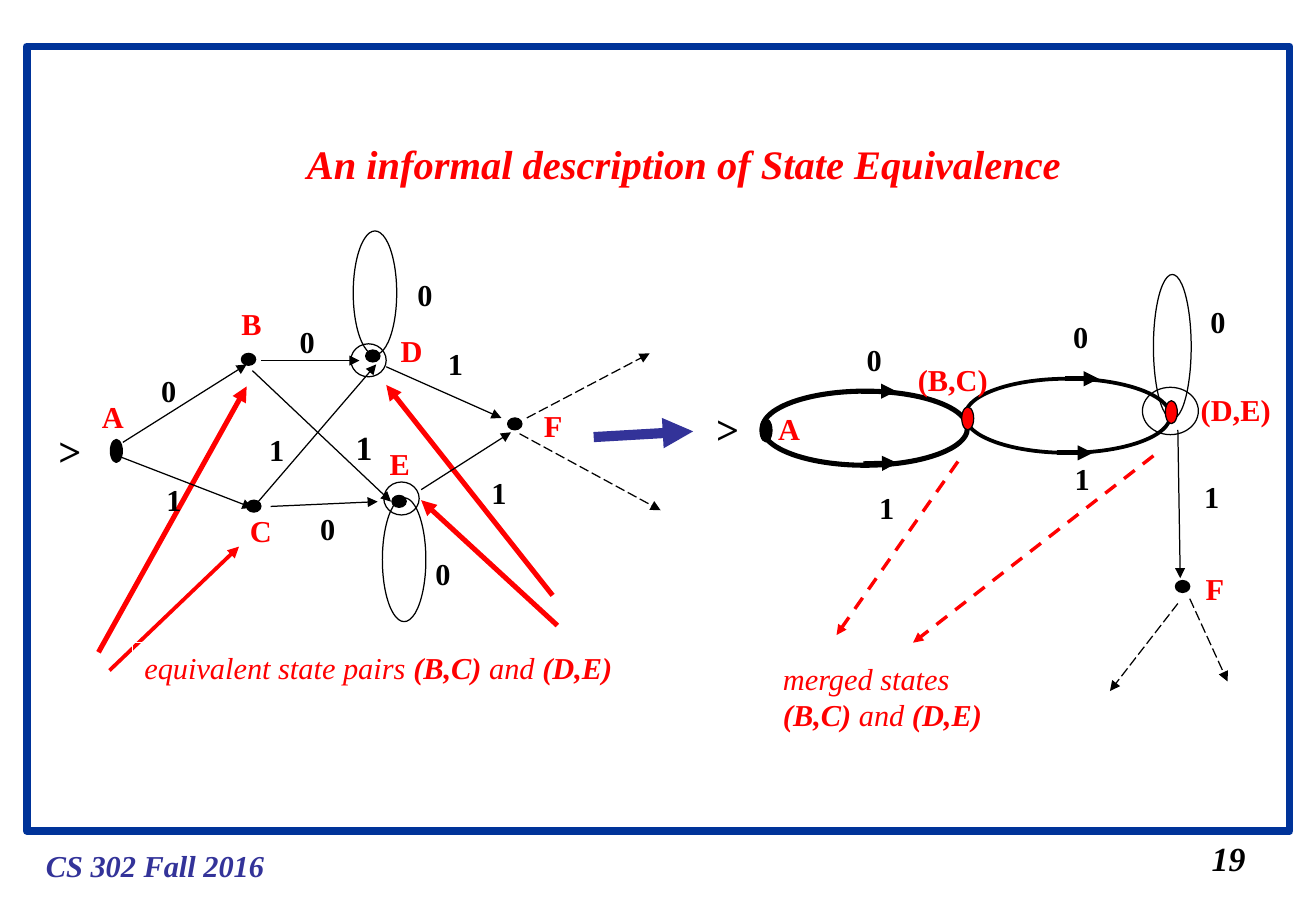
from lxml import etree
from pptx import Presentation
from pptx import util as u
from pptx.dml.color import RGBColor
from pptx.enum import dml, shapes, text
from pptx.oxml import ns

BLACK = RGBColor(0x00, 0x00, 0x00)
WHITE = RGBColor(0xFF, 0xFF, 0xFF)
RED = RGBColor(0xFF, 0x00, 0x00)
INDIGO = RGBColor(0x33, 0x33, 0x99)
FRAME_BLUE = RGBColor(0x00, 0x33, 0x99)

LONG_DASH = dml.MSO_LINE.LONG_DASH
DASH = dml.MSO_LINE.DASH
OVAL = shapes.MSO_SHAPE.OVAL
RECT = shapes.MSO_SHAPE.RECTANGLE

BOLD = {"bold": True, "italic": False}
ITALIC = {"bold": False, "italic": True}
BOLD_ITALIC = {"bold": True, "italic": True}

DOT = (0.3, 0.25)
STATE = (0.25, 0.48)
RING = (0.74, 0.69)
LOOP = (0.91, 2.59)
LENS = (4.29, 1.55)


def add_outline(parent, kind, at, size, color=BLACK, width=0.75, fill=None):
    sp = parent.add_shape(kind, *map(u.Cm, at + size))
    sp.shadow.inherit = False
    if fill is None:
        sp.fill.background()
    else:
        sp.fill.solid()
        sp.fill.fore_color.rgb = fill
    sp.line.color.rgb = color
    sp.line.width = u.Pt(width)
    return sp


def add_arrow(parent, ends, color=BLACK, width=0.75, dash=None):
    cx = parent.add_connector(shapes.MSO_CONNECTOR.STRAIGHT, *map(u.Cm, ends))
    cx.line.color.rgb = color
    cx.line.width = u.Pt(width)
    if dash is not None:
        cx.line.dash_style = dash
    spPr = cx.element.spPr
    etree.SubElement(spPr.find(ns.qn("a:ln")), ns.qn("a:tailEnd"), type="triangle")
    etree.SubElement(spPr, ns.qn("a:effectLst"))


def fill_text(sp, lines, size=18, color=RED, wrap=False):
    tf = sp.text_frame
    frame = {"word_wrap": wrap, "vertical_anchor": text.MSO_ANCHOR.TOP}
    for name, value in frame.items():
        setattr(tf, name, value)
    for i, runs in enumerate(lines):
        p = tf.add_paragraph() if i else tf.paragraphs[0]
        p.alignment = text.PP_ALIGN.LEFT
        for words, style in runs:
            r = p.add_run()
            r.text = words
            font = {"name": "Times New Roman", "size": u.Pt(size), **style}
            for name, value in font.items():
                setattr(r.font, name, value)
            r.font.color.rgb = color


def add_caption(parent, box, lines, size=18, color=RED):
    fill_text(parent.add_textbox(*map(u.Cm, box)), lines, size, color)


def add_label(parent, words, x, y, size=18):
    width = 2.0 if len(words) > 1 else 1.0 if words.isalpha() or size > 18 else 0.83
    height = {18: 1.02, 20: 1.12, 24: 1.27}[size]
    sp = parent.add_textbox(*map(u.Cm, (x, y, width, height)))
    color = RED if words[0] in "ABCDEF(" else BLACK
    fill_text(sp, [[(words, BOLD)]], size, color, wrap=True)


def add_ovals(parent, size, places, **style):
    for at in places:
        add_outline(parent, OVAL, at, size, **style)


def add_arrows(parent, arrows, **style):
    for ends in arrows:
        add_arrow(parent, ends, **style)


def add_labels(parent, labels):
    for label in labels:
        add_label(parent, *label)


def draw_equivalent_pairs(g):
    add_arrows(g, [(2.06, 13.64, 5.16, 8.08), (11.56, 12.45, 8.08, 8.05),
                   (11.66, 13.08, 8.81, 10.46)], color=RED, width=3)
    add_arrow(g, (2.29, 14.02, 5.0, 11.43), RED, 2.25)
    sp = add_outline(g, RECT, (2.77, 13.44), (10.44, 1.02), WHITE)
    fill_text(sp, [[("equivalent state pairs ", ITALIC), ("(B,C)", BOLD_ITALIC),
                    (" and ", ITALIC), ("(D,E)", BOLD_ITALIC)]])


def draw_full_automaton(g):
    add_ovals(g, STATE, [(2.31, 9.19)], fill=BLACK)
    add_ovals(g, DOT, [(5.05, 7.39), (5.16, 10.46), (7.65, 7.32),
                       (8.2, 10.36), (10.62, 8.74)], fill=BLACK)
    add_ovals(g, RING, [(7.34, 7.19), (8.03, 10.08)])
    add_ovals(g, LOOP, [(7.39, 4.83), (8.0, 10.41)])
    add_arrows(g, [(2.57, 9.25, 5.16, 7.62), (2.51, 9.55, 5.28, 10.62),
                   (5.28, 7.75, 8.18, 10.49), (5.36, 10.54, 7.87, 7.62),
                   (5.46, 7.54, 7.52, 7.54), (5.66, 10.59, 7.9, 10.49),
                   (8.08, 7.67, 10.49, 8.74), (8.81, 10.24, 10.69, 9.04)])
    add_arrows(g, [(11.02, 8.74, 13.59, 7.39), (10.87, 9.07, 13.82, 10.67)],
               dash=LONG_DASH)
    add_labels(g, [(">", 0.97, 8.79, 24), ("A", 1.88, 8.2), ("B", 4.8, 6.25),
                   ("C", 4.98, 10.59), ("D", 8.13, 6.83), ("E", 7.9, 9.19),
                   ("F", 11.13, 8.38), ("0", 3.12, 7.65), ("1", 3.23, 9.93),
                   ("0", 6.02, 6.63), ("1", 7.19, 8.79, 20), ("0", 6.45, 10.54),
                   ("1", 5.38, 8.89), ("0", 8.86, 11.48), ("0", 8.48, 5.64),
                   ("1", 9.12, 7.09), ("1", 10.03, 9.8)])


def draw_merged_automaton(g):
    add_ovals(g, LENS, [(15.95, 8.18)], width=3)
    add_ovals(g, STATE, [(15.9, 8.76)], fill=BLACK)
    add_ovals(g, (0.79, 3.02), [(24.13, 5.74)])
    add_ovals(g, LENS, [(20.19, 7.92)], width=2.25)
    add_ovals(g, STATE, [(20.12, 8.51), (24.38, 8.38)], fill=RED)
    add_ovals(g, (1.17, 0.99), [(23.9, 8.1)])
    add_ovals(g, DOT, [(24.59, 12.14)], fill=BLACK)
    add_arrows(g, [(18.01, 8.18, 18.75, 8.18), (18.06, 9.7, 18.77, 9.68),
                   (22.28, 7.92, 22.99, 7.92), (22.12, 9.47, 22.86, 9.47)], width=3)
    add_arrow(g, (24.64, 8.99, 24.69, 12.09))
    add_arrows(g, [(24.64, 12.62, 23.22, 14.45), (24.89, 12.52, 25.68, 14.25)],
               dash=LONG_DASH)
    add_labels(g, [(">", 14.73, 8.33, 24), ("A", 16.03, 8.46), ("(B,C)", 18.95, 7.42),
                   ("(D,E)", 24.87, 8.05), ("F", 24.97, 11.79), ("0", 17.88, 7.01),
                   ("1", 18.14, 10.11), ("0", 22.2, 6.53), ("1", 22.23, 9.5),
                   ("0", 25.07, 6.22), ("1", 24.94, 9.88)])


def draw_merged_states(g):
    add_arrows(g, [(20.04, 9.65, 17.5, 13.28), (24.13, 9.53, 19.1, 13.44)],
               color=RED, width=2, dash=DASH)
    add_caption(g, (16.13, 13.67, 4.83, 1.78),
                [[("merged states", ITALIC)],
                 [("(B,C) ", BOLD_ITALIC), ("and ", ITALIC), ("(D,E)", BOLD_ITALIC)]])


def main():
    prs = Presentation()
    prs.slide_width, prs.slide_height = u.Cm(27.53), u.Cm(19.05)
    s = prs.slides.add_slide(prs.slide_layouts[6])
    add_outline(s.shapes, RECT, (0.56, 0.97), (26.42, 16.41), FRAME_BLUE, 4.5)
    add_caption(s.shapes, (0.71, 17.6, 5.08, 1.02),
                [[("CS 302 Fall 2016", BOLD_ITALIC)]], color=INDIGO)
    add_caption(s.shapes, (6.17, 2.79, 16.6, 1.27),
                [[("An informal description of State Equivalence", BOLD_ITALIC)]], 24)
    add_arrow(s.shapes, (12.42, 9.14, 14.5, 9.02), INDIGO, 6, LONG_DASH)
    for draw in (draw_equivalent_pairs, draw_full_automaton,
                 draw_merged_automaton, draw_merged_states):
        draw(s.shapes.add_group_shape().shapes)
    add_caption(s.shapes, (25.1, 17.4, 1.22, 1.12), [[("19", BOLD_ITALIC)]], 20, BLACK)
    prs.save("out.pptx")


if __name__ == "__main__":
    main()
